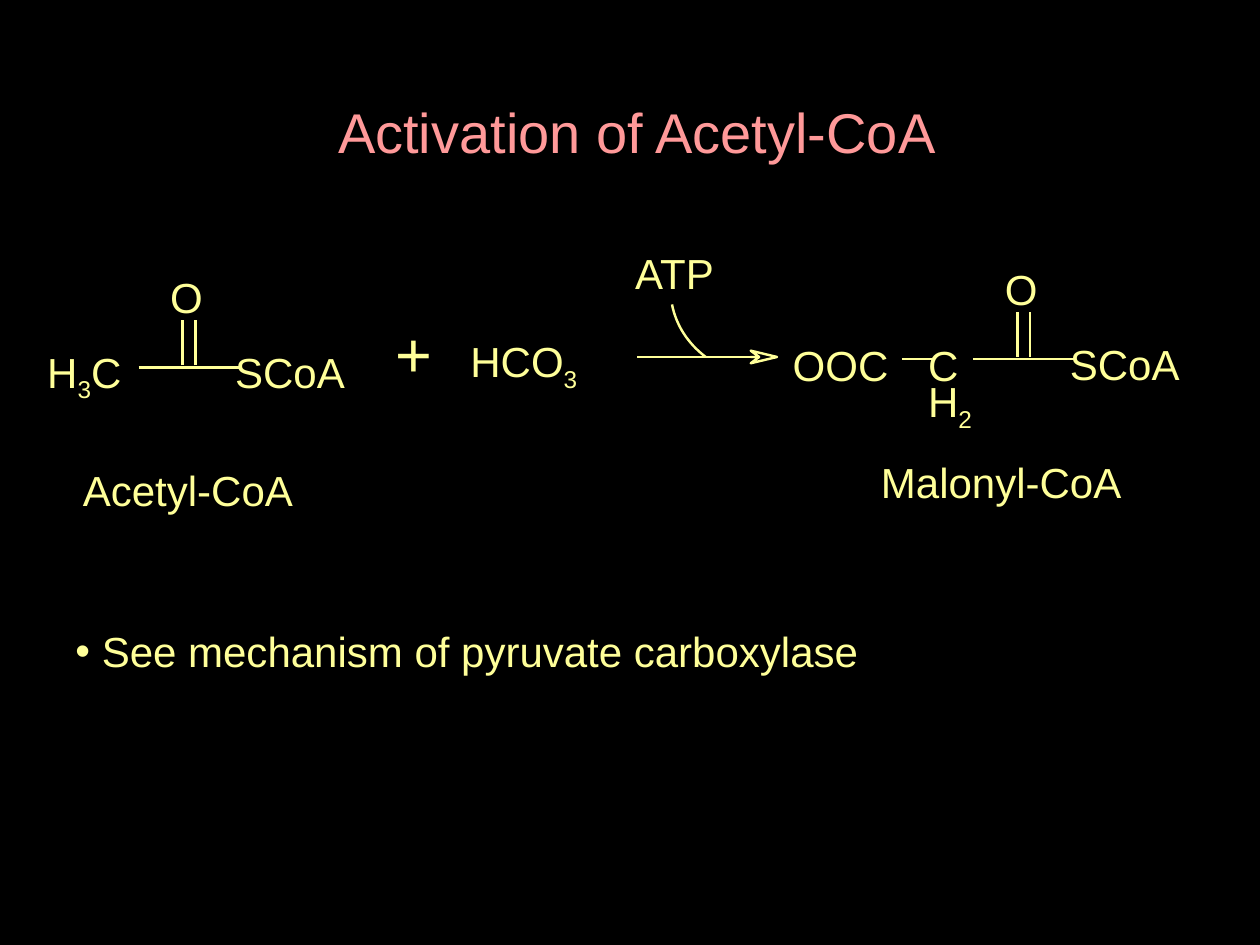
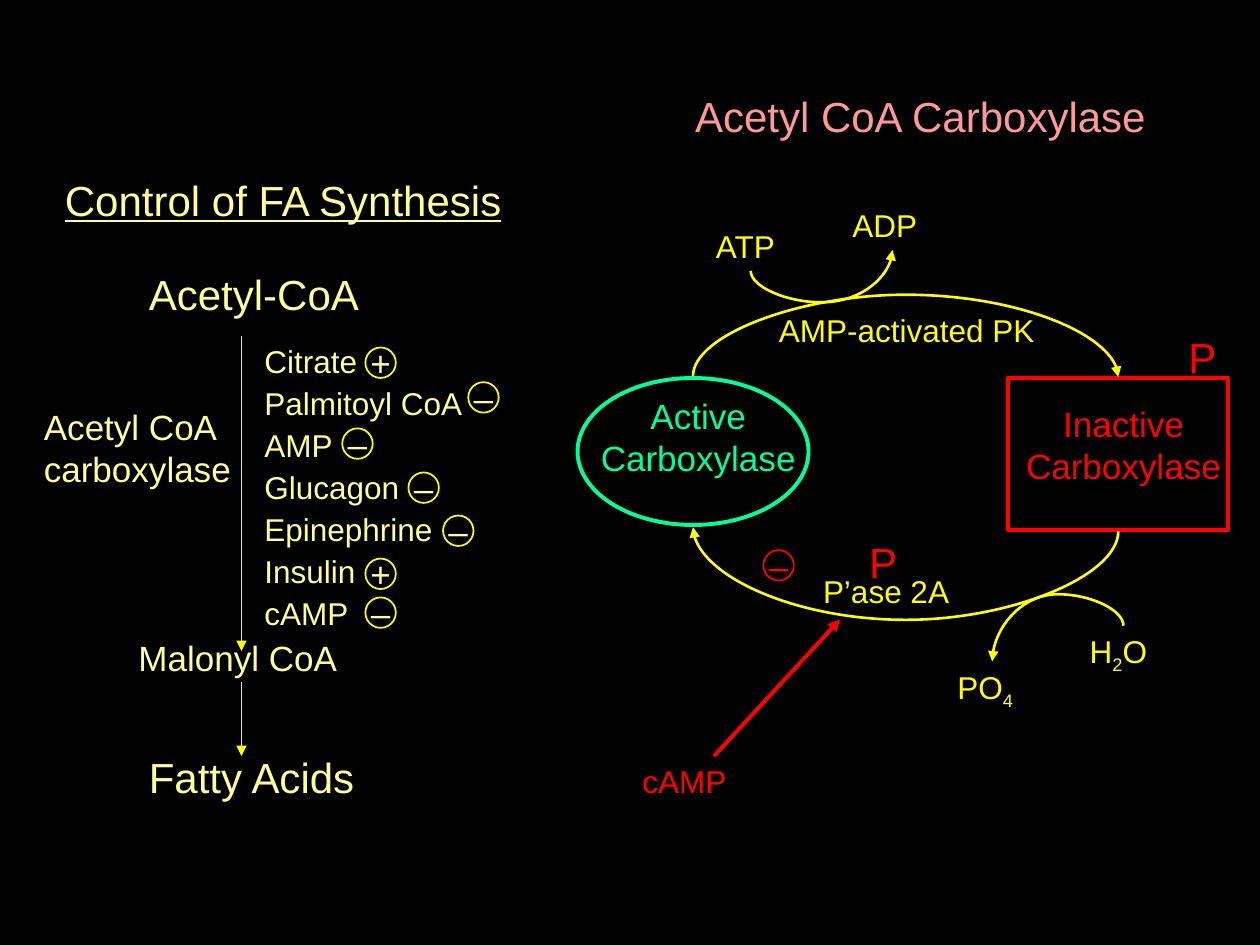
import lxml.etree
import pptx
import pptx.dml.color
import pptx.enum.shapes
import pptx.enum.text
import pptx.oxml.ns
import pptx.util

COLUMNS = 120
SLIDE_WIDTH = pptx.util.Inches(10)
SLIDE_HEIGHT = pptx.util.Inches(7.5)
CELL = SLIDE_WIDTH // COLUMNS
TITLE_ONLY = 5
FONT = "Arial"

BLACK = pptx.dml.color.RGBColor(0x00, 0x00, 0x00)
PINK = pptx.dml.color.RGBColor(0xFF, 0x99, 0x99)
CREAM = pptx.dml.color.RGBColor(0xFF, 0xFF, 0x99)
YELLOW = pptx.dml.color.RGBColor(0xFF, 0xFF, 0x00)
GREEN = pptx.dml.color.RGBColor(0x00, 0xFF, 0x99)
RED = pptx.dml.color.RGBColor(0xFF, 0x00, 0x00)

LEFT = pptx.enum.text.PP_ALIGN.LEFT
CENTER = pptx.enum.text.PP_ALIGN.CENTER
MIDDLE = pptx.enum.text.MSO_ANCHOR.MIDDLE
SHAPES = pptx.enum.shapes.MSO_SHAPE
CONNECTORS = pptx.enum.shapes.MSO_CONNECTOR

BOND = 1.38
RING = 2.9
EFFECTORS = [
    ("Citrate", "+", 34.8, 33.1),
    ("Palmitoyl CoA", "–", 44.6, 36.4),
    ("AMP", "–", 32.6, 40.8),
    ("Glucagon", "–", 38.9, 45),
    ("Epinephrine", "–", 42.2, 49.1),
    ("Insulin", "+", 34.8, 53.2),
    ("cAMP", "–", 34.8, 56.9),
]


def grid(*cells):
    """Turn grid cells into slide lengths."""
    return [pptx.util.Emu(round(cell * CELL)) for cell in cells]


def add_child(parent, tag, **attributes):
    """Append a drawing element with attributes."""
    return lxml.etree.SubElement(parent, pptx.oxml.ns.qn(tag), **attributes)


def write(frame, text, *, size=24, color=CREAM, align=LEFT, underline=False):
    """Fill a frame with one paragraph; an underscore lowers the next character."""
    para = frame.paragraphs[0]
    para.alignment = align
    plain, *lowered = text.split("_")
    pieces = [(plain, False)]
    for part in lowered:
        pieces += [(part[0], True), (part[1:], False)]
    for piece, is_subscript in pieces:
        if not piece:
            continue
        span = para.add_run()
        span.text = piece
        span.font.name = FONT
        span.font.size = pptx.util.Pt(size)
        span.font.color.rgb = color
        if underline:
            span.font.underline = True
        if is_subscript:
            span._r.get_or_add_rPr().set("baseline", "-25000")
    return para


def set_margins(frame, margin):
    """Give all four sides of a frame the same margin."""
    frame.margin_left = frame.margin_right = margin
    frame.margin_top = frame.margin_bottom = margin


def add_page(deck, title, place, size):
    """Add a slide with its title at a place on the grid."""
    page = deck.slides.add_slide(deck.slide_layouts[TITLE_ONLY])
    box = page.shapes.title
    box.left, box.top, box.width, box.height = grid(*place)
    box.text_frame.vertical_anchor = MIDDLE
    box.text_frame.auto_size = pptx.enum.text.MSO_AUTO_SIZE.NONE
    write(box.text_frame, title, size=size, color=PINK)
    return page


def add_label(page, text, left, top, width=25, height=5, **style):
    """Add a wrapped text box with normal margins."""
    box = page.shapes.add_textbox(*grid(left, top, width, height))
    box.text_frame.word_wrap = True
    write(box.text_frame, text, **style)
    return box


def add_formula(page, text, left, top, **style):
    """Add a chemical formula or name without margins."""
    box = add_label(page, text, left, top, width=25, **style)
    set_margins(box.text_frame, 0)


def add_bullet(page, text, left, top, width):
    """Add one bulleted statement."""
    box = page.shapes.add_textbox(*grid(left, top, width, 6))
    box.text_frame.word_wrap = True
    properties = write(box.text_frame, text)._p.get_or_add_pPr()
    indent = pptx.util.Inches(0.21)
    properties.set("marL", str(indent))
    properties.set("indent", str(-indent))
    add_child(properties, "a:buFont", typeface=FONT)
    add_child(properties, "a:buChar", char="•")


def add_line(page, start, end, *, color=YELLOW, width=1.5, arrow=False,
             kind=CONNECTORS.STRAIGHT):
    """Add a connector, with an arrowhead if wanted."""
    line = page.shapes.add_connector(kind, *grid(*start, *end))
    line.line.color.rgb = color
    line.line.width = pptx.util.Pt(width)
    properties = line._element.spPr
    if arrow:
        outline = properties.find(pptx.oxml.ns.qn("a:ln"))
        add_child(outline, "a:tailEnd", type="triangle")
    add_child(properties, "a:effectLst")
    return line


def add_turn(page, start, end, bend):
    """Add a curved arrow that leaves and arrives vertically past the bend row."""
    line = add_line(page, start, end, arrow=True, kind=CONNECTORS.CURVE)
    (start_x, start_y), (end_x, end_y) = start, end
    across, along = abs(end_x - start_x), abs(end_y - start_y)
    line.left, line.top, line.width, line.height = grid(
        (start_x + end_x - along) / 2, (start_y + end_y - across) / 2, along, across)
    rightward = start_x < end_x
    properties = line._element.spPr
    frame = properties.find(pptx.oxml.ns.qn("a:xfrm"))
    frame.set("rot", str((90 if rightward else 270) * 60000))
    frame.set("flipH", str(int(rightward == (start_y > end_y))))
    frame.set("flipV", "1")
    share = (bend - start_y) / (end_y - start_y)
    adjustments = properties.find(".//" + pptx.oxml.ns.qn("a:avLst"))
    add_child(adjustments, "a:gd", name="adj1", fmla=f"val {round(share * 100000)}")


def style_outline(shape, color, width):
    """Leave a shape unfilled with a plain outline."""
    shape.shadow.inherit = False
    shape.fill.background()
    shape.line.color.rgb = color
    shape.line.width = pptx.util.Pt(width)


def add_outline(page, kind, left, top, width, height, *, color, line_width=2.25):
    """Add an unfilled preset shape."""
    shape = page.shapes.add_shape(kind, *grid(left, top, width, height))
    style_outline(shape, color, line_width)
    return shape


def add_freeform(page, points, *, close):
    """Draw a thin outline through grid points."""
    corners = [grid(*point) for point in points]
    builder = page.shapes.build_freeform(*corners[0])
    builder.add_line_segments(corners[1:], close=close)
    shape = builder.convert_to_shape()
    style_outline(shape, CREAM, BOND)
    return shape


def bezier(points, steps=16):
    """Return points along a cubic curve."""
    curve = []
    for step in range(steps + 1):
        t = step / steps
        weights = ((1 - t) ** 3, 3 * t * (1 - t) ** 2, 3 * t * t * (1 - t), t ** 3)
        curve.append([sum(weight * point[axis] for weight, point in zip(weights, points))
                      for axis in (0, 1)])
    return curve


def add_sign(page, sign, left, top, *, ring=YELLOW, color=CREAM):
    """Add a plus or minus sign in a ring."""
    shape = add_outline(page, SHAPES.OVAL, left, top, RING, RING, color=ring, line_width=1)
    frame = shape.text_frame
    frame.word_wrap = False
    frame.vertical_anchor = MIDDLE
    set_margins(frame, 0)
    write(frame, sign, size=20, color=color, align=CENTER)


def add_bond(page, start, end):
    """Add a chemical bond."""
    add_line(page, start, end, color=CREAM, width=BOND)


def add_thioester(page, left, top):
    """Add a carbonyl group bonded to coenzyme A."""
    add_bond(page, (left, top), (left + 9.6, top))
    for offset in (4.2, 5.4):
        add_bond(page, (left + offset, top - 0.2), (left + offset, top - 4.5))
    add_formula(page, "O", left + 3, top - 9.1)
    add_formula(page, "SCoA", left + 9.2, top - 2)


def add_activation(deck):
    """Build the slide on the activation reaction."""
    page = add_page(deck, "Activation of Acetyl-CoA", (31, 9, 60, 7), 32)
    add_bullet(page, "See mechanism of pyruvate carboxylase", 6, 59, 77)
    add_thioester(page, 13.2, 35)
    add_thioester(page, 92.7, 34.2)
    for text, left, top in [
        ("H_3C", 4.5, 33), ("HCO_3", 44.8, 32), ("OOC", 75.5, 32.3),
        ("C", 88.4, 32.3), ("H_2", 88.4, 35.8), ("ATP", 60.5, 23.6),
        ("Acetyl-CoA", 7.9, 44.2), ("Malonyl-CoA", 83.9, 43.5),
    ]:
        add_formula(page, text, left, top)
    add_formula(page, "+", 37.7, 30, size=36)
    add_bond(page, (85.9, 34.2), (88.8, 34.2))
    add_bond(page, (60.7, 34), (71.5, 34))
    head = add_freeform(page, [(71.5, 34), (72.3, 34), (71.5, 33.4), (74, 34),
                               (71.5, 34.6), (72.3, 34)], close=True)
    head.fill.solid()
    head.fill.fore_color.rgb = BLACK
    add_freeform(page, bezier([(67.2, 34), (65.5, 32.7), (64.4, 31), (64, 29)]), close=False)


def add_pathway(page):
    """Draw the synthesis pathway and its effectors."""
    add_label(page, "Control of FA Synthesis", 5, 16, 46, underline=True)
    add_label(page, "Acetyl-CoA", 13, 25)
    add_label(page, "Malonyl CoA", 12, 60, size=20)
    add_label(page, "Fatty Acids", 13, 71)
    add_label(page, "Acetyl CoA carboxylase", 3, 38, height=9, size=20)
    for start, end in [(32, 62), (65, 72)]:
        add_line(page, (23, start), (23, end), width=0.75, arrow=True)
    for row, (name, sign, ring_left, ring_top) in enumerate(EFFECTORS):
        add_label(page, name, 24, 32 + 4 * row, size=18)
        add_sign(page, sign, ring_left, ring_top)


def add_cycle(page):
    """Draw the phosphorylation cycle of the enzyme."""
    add_label(page, "Active Carboxylase", 56, 37, 21, 9, size=20, color=GREEN, align=CENTER)
    add_outline(page, SHAPES.OVAL, 55, 36, 22, 14, color=GREEN)
    add_label(page, "Inactive Carboxylase", 96, 37.7, 22, 9, size=20, color=RED, align=CENTER)
    add_outline(page, SHAPES.RECTANGLE, 96, 36, 21, 14.5, color=RED)
    for start, end, bend in [
        ((66, 35.8), (106.5, 35.9), 28), ((106.5, 50.6), (66, 50.2), 59),
        ((71.5, 25.8), (85, 23.8), 28.8), ((107, 59.6), (94.5, 63), 56.6),
    ]:
        add_turn(page, start, end, bend)
    for text, left, top in [
        ("ATP", 67, 21), ("ADP", 80, 19), ("AMP-activated PK", 73, 29),
        ("PO_4", 90, 63), ("H_2O", 102.6, 59.6), ("P’ase 2A", 77.2, 53.9),
    ]:
        add_label(page, text, left, top, 27 if len(text) > 10 else 16, size=18, color=YELLOW)
    add_label(page, "cAMP", 60, 72, 12, size=18, color=RED)
    add_line(page, (68, 72), (80, 59), color=RED, width=2.25, arrow=True)
    for left, top in [(112, 31), (81.6, 50.5)]:
        add_label(page, "P", left, top, 6, 6, color=RED)
    add_sign(page, "–", 72.7, 52.4, ring=RED, color=RED)


def add_control(deck):
    """Build the slide on the control of synthesis."""
    page = add_page(deck, "Acetyl CoA Carboxylase", (65, 8, 49, 6), 24)
    add_pathway(page)
    add_cycle(page)


def main():
    """Build and save the deck."""
    deck = pptx.Presentation()
    deck.slide_width, deck.slide_height = SLIDE_WIDTH, SLIDE_HEIGHT
    backdrop = deck.slide_master.background.fill
    backdrop.solid()
    backdrop.fore_color.rgb = BLACK
    add_activation(deck)
    add_control(deck)
    deck.save("out.pptx")


if __name__ == "__main__":
    main()
